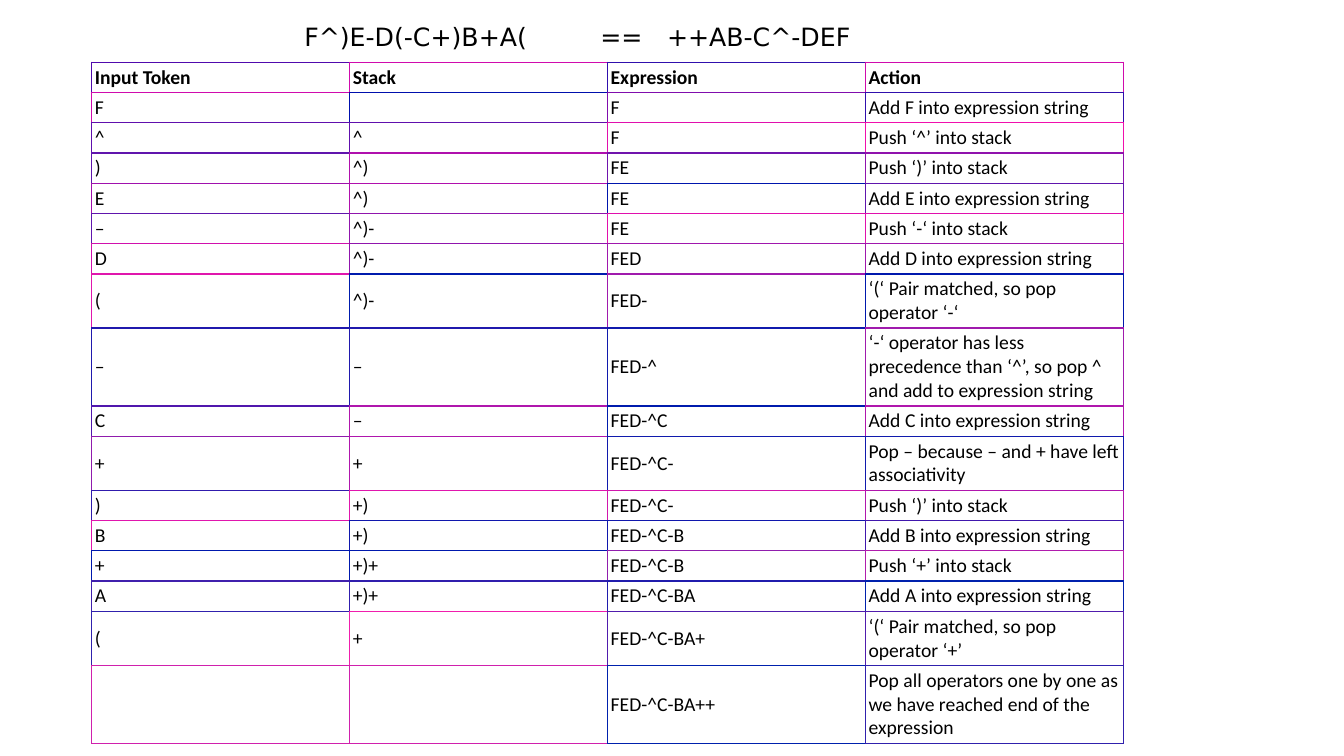
from lxml.etree import SubElement
from pptx import Presentation
from pptx.dml.color import RGBColor
from pptx.enum.text import MSO_ANCHOR as Anchor, MSO_AUTO_SIZE as AutoSize
from pptx.oxml.ns import qn
from pptx.util import Cm, Pt


def color(hex_string):
    return RGBColor.from_string(hex_string)


def add_border(cell, side, hex_string, width):
    line = SubElement(cell._tc.get_or_add_tcPr(), qn(f"a:ln{side}"), w=str(Pt(width)))
    fill = SubElement(line, qn("a:solidFill"))
    SubElement(fill, qn("a:srgbClr"), val=hex_string)


# Token, stack, expression and action of each conversion step
steps = [
    ("Input Token", "Stack", "Expression", "Action"),
    ("F", "", "F", "Add F into expression string"),
    ("^", "^", "F", "Push ‘^’ into stack"),
    (")", "^)", "FE", "Push ‘)’ into stack"),
    ("E", "^)", "FE", "Add E into expression string"),
    ("–", "^)-", "FE", "Push ‘-‘ into stack"),
    ("D", "^)-", "FED", "Add D into expression string"),
    ("(", "^)-", "FED-", "‘(‘ Pair matched, so pop operator ‘-‘"),
    ("–", "–", "FED-^", "‘-‘ operator has less precedence than ‘^’, "
                        "so pop ^ and add to expression string"),
    ("C", "–", "FED-^C", "Add C into expression string"),
    ("+", "+", "FED-^C-", "Pop – because – and + have left associativity"),
    (")", "+)", "FED-^C-", "Push ‘)’ into stack"),
    ("B", "+)", "FED-^C-B", "Add B into expression string"),
    ("+", "+)+", "FED-^C-B", "Push ‘+’ into stack"),
    ("A", "+)+", "FED-^C-BA", "Add A into expression string"),
    ("(", "+", "FED-^C-BA+", "‘(‘ Pair matched, so pop operator ‘+’"),
    ("", "", "FED-^C-BA++", "Pop all operators one by one as we have "
                            "reached end of the expression"),
]

# Each cell owns the colour of its left and top border
border_colors = [row.split() for row in (
    "500AAD D00BAD 300FAD D00BAD",
    "D00BAD 000FAD 800DAD 300FAD",
    "600FAD 600FAD E010AD F00FAD",
    "6015AD B010AD 7014AD 9012AD",
    "A011AD B010AD 0015AD 6015AD",
    "6015AD 9015AD E010AD E010AD",
    "D011AD 9015AD A017AD A017AD",
    "E016AD 001BAD A01AAD 0018AD",
    "2019AD 2019AD 101AAD A01AAD",
    "5016AD B016AD 001BAD B016AD",
    "901BAD B016AD 101AAD 101AAD",
    "301BAD E016AD D017AD B016AD",
    "E016AD 1017AD 1017AD 4017AD",
    "0018AD 0018AD 901EAD B01CAD",
    "4020AD 301EAD 201CAD 0021AD",
    "3021AD F01EAD 501CAD 501CAD",
    "D020AD D020AD 0021AD 3021AD",
)]
two_line_rows, three_line_rows = {7, 10, 15}, {8, 16}
last_row, last_column = len(steps) - 1, len(steps[0]) - 1

presentation = Presentation()
presentation.slide_width, presentation.slide_height = Cm(33.87), Cm(19.05)
slide = presentation.slides.add_slide(presentation.slide_layouts[6])

# Conversion table
conversion = slide.shapes.add_table(
    len(steps), len(steps[0]), Cm(2.31), Cm(1.57), Cm(26.01), Cm(16.0)).table
conversion.first_row = conversion.horz_banding = False
for column in conversion.columns:
    column.width = Cm(6.5)

cell_format = {"margin_left": Cm(0.08), "margin_right": Cm(0.08),
               "margin_top": Cm(0.08), "margin_bottom": Cm(0.08),
               "vertical_anchor": Anchor.MIDDLE}

for r, step in enumerate(steps):
    conversion.rows[r].height = Cm(
        1.83 if r in three_line_rows else 1.27 if r in two_line_rows else 0.71)
    for c, wording in enumerate(step):
        cell = conversion.cell(r, c)
        for attribute, value in cell_format.items():
            setattr(cell, attribute, value)

        # Right and bottom borders take the neighbour's colour
        own = border_colors[r][c]
        right = (own, 0.75) if c == last_column else (border_colors[r][c + 1], 1)
        bottom = (own, 0.75) if r == last_row else (border_colors[r + 1][c], 1)
        for side, (hex_string, width) in zip("LRTB", ((own, 1), right, (own, 1), bottom)):
            add_border(cell, side, hex_string, width)
        cell.fill.background()

        paragraph = cell.text_frame.paragraphs[0]
        if wording:
            run = paragraph.add_run()
            run.text = wording
            for attribute, value in {"name": "Calibri", "size": Pt(14), "bold": r == 0}.items():
                setattr(run.font, attribute, value)
            run.font.color.rgb = color("000000")
        else:
            # An empty cell keeps the row low
            SubElement(paragraph._p, qn("a:endParaRPr"), sz="1400")

# Title: the parts are set apart by tab stops
title = slide.shapes.add_textbox(Cm(7.42), Cm(0.41), Cm(19.56), Cm(1.03)).text_frame
title.word_wrap = True
title.auto_size = AutoSize.SHAPE_TO_FIT_TEXT
heading = title.paragraphs[0]
tab_list = SubElement(heading._p.get_or_add_pPr(), qn("a:tabLst"))
for position in (Cm(7.46), Cm(9.14)):
    SubElement(tab_list, qn("a:tab"), pos=str(position), algn="l")
equation = heading.add_run()
equation.text = "F^)E-D(-C+)B+A(\t==\t++AB-C^-DEF"
equation.font.name, equation.font.size = "DejaVu Sans", Pt(18)
equation.font.color.rgb = color("000000")

presentation.save("out.pptx")
